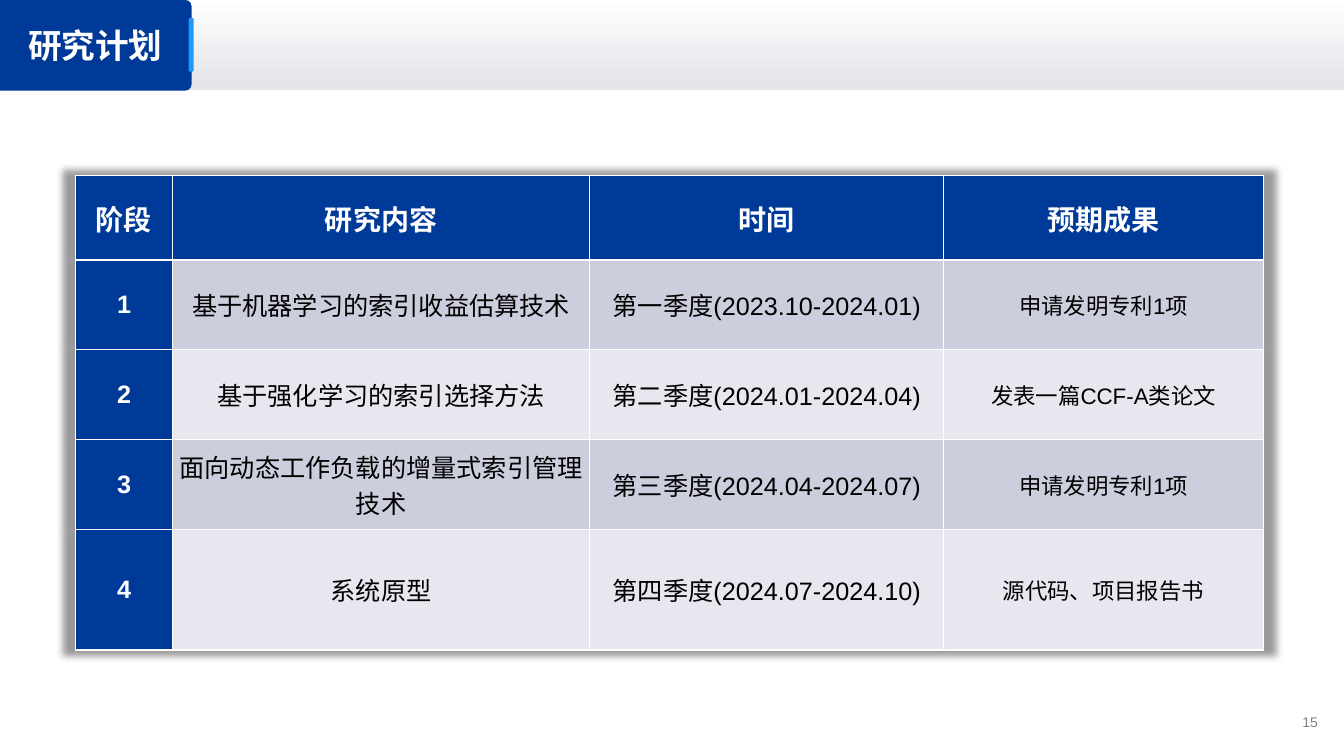
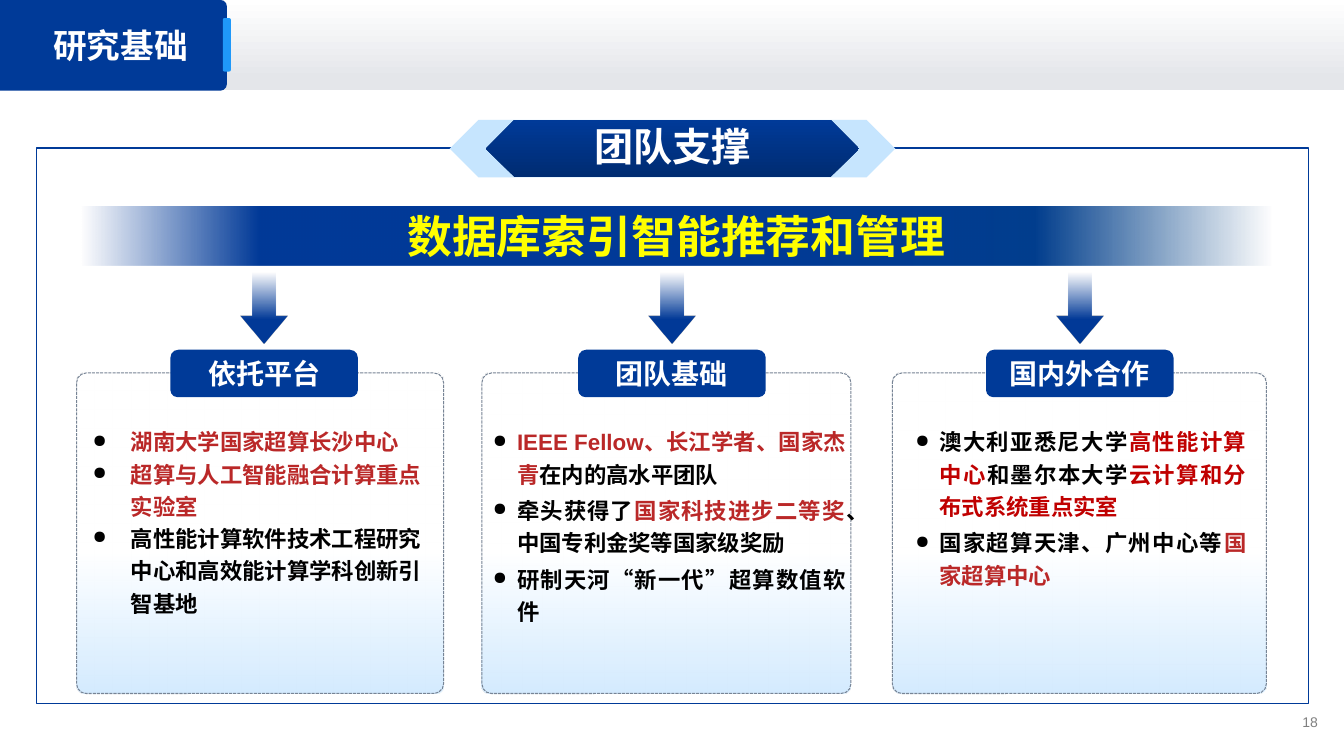
from lxml.etree import SubElement
from pptx import Presentation
from pptx.dml.color import RGBColor
from pptx.enum.dml import MSO_LINE
from pptx.enum.shapes import MSO_SHAPE as SHAPE
from pptx.enum.text import MSO_ANCHOR as ANCHOR, PP_ALIGN as ALIGN
from pptx.oxml.ns import qn
from pptx.util import Pt

PX = 9144
NAVY = RGBColor(0x00, 0x3A, 0x98)
DEEP_NAVY = RGBColor(0x00, 0x2C, 0x72)
MID_NAVY = RGBColor(0x00, 0x3E, 0x8E)
EDGE_NAVY = RGBColor(0x00, 0x43, 0x84)
SKY = RGBColor(0x1F, 0x98, 0xF9)
PALE_SKY = RGBColor(0xC6, 0xE5, 0xFE)
CARD_SKY = RGBColor(0xD2, 0xEA, 0xFE)
WHITE = RGBColor(0xFF, 0xFF, 0xFF)
BLACK = RGBColor(0x00, 0x00, 0x00)
YELLOW = RGBColor(0xFF, 0xFF, 0x00)
BRICK = RGBColor(0xBA, 0x28, 0x28)
RED = RGBColor(0xC0, 0x00, 0x00)
GRAY = RGBColor(0x80, 0x80, 0x80)
DASH_GRAY = RGBColor(0x77, 0x84, 0x95)
BAND_GRAY = RGBColor(0xE4, 0xE6, 0xEA)
ROW_DARK = RGBColor(0xCC, 0xCE, 0xDD)
ROW_LIGHT = RGBColor(0xE7, 0xE8, 0xEF)

PLAN_HEADS = ["阶段", "研究内容", "时间", "预期成果"]
PLAN_ROWS = [
    ["1", "基于机器学习的索引收益估算技术", "第一季度(2023.10-2024.01)", "申请发明专利1项"],
    ["2", "基于强化学习的索引选择方法", "第二季度(2024.01-2024.04)", "发表一篇CCF-A类论文"],
    ["3", "面向动态工作负载的增量式索引管理技术", "第三季度(2024.04-2024.07)", "申请发明专利1项"],
    ["4", "系统原型", "第四季度(2024.07-2024.10)", "源代码、项目报告书"],
]
PLATFORM = [
    [("湖南大学国家超算长沙中心", BRICK)],
    [("超算与人工智能融合计算重点实验室", BRICK)],
    [("高性能计算软件技术工程研究中心和高效能计算学科创新引智基地", BLACK)],
]
TEAM = [
    [("IEEE Fellow、长江学者、国家杰青", BRICK), ("在内的高水平团队", BLACK)],
    [("牵头获得了", BLACK), ("国家科技进步二等奖", BRICK),
     ("、中国专利金奖等国家级奖励", BLACK)],
    [("研制天河“新一代”超算数值软件", BLACK)],
]
PARTNERS = [
    [("澳大利亚悉尼大学", BLACK), ("高性能计算中心", RED),
     ("和墨尔本大学", BLACK), ("云计算和分布式系统重点实室", RED)],
    [("国家超算天津、广州中心等", BLACK), ("国家超算中心", BRICK)],
]


def px(*lengths):
    """Turn pixel lengths into EMU."""
    return [round(n * PX) for n in lengths]


def set_font(p, size, color=None, bold=False):
    """Set the deck's fonts on a paragraph."""
    font = p.font
    font.size, font.bold, font.name = Pt(size), bold, "Arial"
    if color is not None:
        font.color.rgb = color
    SubElement(font._element, qn("a:ea"), typeface="Noto Sans CJK SC")


def set_gradient(sp, stops, angle):
    """Fill a shape with (position, colour, opacity) stops at a clockwise angle."""
    sp.fill.gradient()
    grad = sp._element.spPr.find(qn("a:gradFill"))
    grad.find(qn("a:lin")).set("ang", str(angle * 60000))
    stop_list = grad.find(qn("a:gsLst"))
    for old in list(stop_list):
        stop_list.remove(old)
    for position, color, opacity in stops:
        gs = SubElement(stop_list, qn("a:gs"), pos=str(position * 1000))
        clr = SubElement(gs, qn("a:srgbClr"), val=str(color))
        if opacity < 100:
            SubElement(clr, qn("a:alpha"), val=str(opacity * 1000))


def add_box(slide, kind, box, fill=None, adjustments=()):
    """Add a preset shape without shadow or line."""
    sp = slide.shapes.add_shape(kind, *px(*box))
    sp.shadow.inherit = False
    sp.line.fill.background()
    if fill is None:
        sp.fill.background()
    else:
        sp.fill.solid()
        sp.fill.fore_color.rgb = fill
    for i, value in enumerate(adjustments):
        sp.adjustments[i] = value
    return sp


def label(sp, text, size, color):
    """Write one centred bold line in a shape."""
    tf = sp.text_frame
    tf.word_wrap = False
    tf.vertical_anchor = ANCHOR.MIDDLE
    p = tf.paragraphs[0]
    p.text, p.alignment = text, ALIGN.CENTER
    set_font(p, size, color, True)
    return p


def add_text(slide, box, text, size, color, bold=False, align=ALIGN.LEFT, anchor=ANCHOR.TOP):
    """Add a one-line text box."""
    tf = slide.shapes.add_textbox(*px(*box)).text_frame
    tf.word_wrap = True
    tf.vertical_anchor = anchor
    p = tf.paragraphs[0]
    p.text, p.alignment = text, align
    set_font(p, size, color, bold)


def add_base_slide(prs, title, number, tab_width, title_left, accent):
    """Add a blank slide with header band, title tab and page number."""
    slide = prs.slides.add_slide(prs.slide_layouts[6])
    band = add_box(slide, SHAPE.RECTANGLE, (0, -1, 1333, 90))
    set_gradient(band, [(0, WHITE, 100), (89, BAND_GRAY, 100)], 90)
    add_text(slide, (1026, 704, 291, 24), number, 10, GRAY,
             align=ALIGN.RIGHT, anchor=ANCHOR.MIDDLE)
    offset = (tab_width - 90) / 2
    tab = add_box(slide, SHAPE.ROUND_2_SAME_RECTANGLE,
                  (offset, -offset, 90, tab_width), NAVY, (0.07, 0))
    tab.rotation = 90
    left, width = accent
    add_box(slide, SHAPE.ROUNDED_RECTANGLE, (left, 18, width, 53), SKY, (0.21,))
    add_text(slide, (title_left, 20, 359, 50), title, 24, WHITE, True)
    return slide


def fill_cell(cell, text, size, color, bold, fill):
    """Write and colour one table cell."""
    cell.fill.solid()
    cell.fill.fore_color.rgb = fill
    cell.vertical_anchor = ANCHOR.MIDDLE
    cell.margin_left = cell.margin_right = 7 * PX
    cell.margin_top = cell.margin_bottom = 0
    p = cell.text_frame.paragraphs[0]
    p.text, p.alignment = text, ALIGN.CENTER
    set_font(p, size, color, bold)


def add_plan_table(slide, left, top):
    """Add the research plan table with a soft shadow."""
    widths, heights = px(96, 414, 351, 317), px(84, 89, 89, 89, 120)
    table = slide.shapes.add_table(len(heights), len(widths), *px(left, top),
                                   sum(widths), sum(heights)).table
    for column, width in zip(table.columns, widths):
        column.width = width
    for row, height in zip(table.rows, heights):
        row.height = height
    for c, head in enumerate(PLAN_HEADS):
        fill_cell(table.cell(0, c), head, 20, WHITE, True, NAVY)
    for r, texts in enumerate(PLAN_ROWS, 1):
        fill_cell(table.cell(r, 0), texts[0], 18, WHITE, True, NAVY)
        shade = ROW_DARK if r % 2 else ROW_LIGHT
        for c, size in enumerate((18, 18, 16), 1):
            fill_cell(table.cell(r, c), texts[c], size, BLACK, False, shade)
    props = table._tbl.tblPr
    effects = SubElement(props, qn("a:effectLst"))
    props.insert(0, effects)
    shadow = SubElement(effects, qn("a:outerShdw"), blurRad="63500", sx="102000",
                        sy="102000", algn="ctr", rotWithShape="0")
    color = SubElement(shadow, qn("a:srgbClr"), val=str(BLACK))
    SubElement(color, qn("a:alpha"), val="40000")


def add_bullets(slide, box, items, indent, gap, align):
    """Add a bulleted list of paragraphs made of coloured runs."""
    tf = slide.shapes.add_textbox(*px(*box)).text_frame
    tf.word_wrap = True
    for i, runs in enumerate(items):
        p = tf.add_paragraph() if i else tf.paragraphs[0]
        p.alignment, p.line_spacing = align, 1.2
        if i and gap:
            p.space_before = Pt(gap)
        props = p._p.get_or_add_pPr()
        props.set("marL", str(indent * PX))
        props.set("indent", str(-indent * PX))
        SubElement(SubElement(props, qn("a:buClr")), qn("a:srgbClr"), val=str(BLACK))
        SubElement(props, qn("a:buSzPct"), val="80000")
        SubElement(props, qn("a:buChar"), char="●")
        set_font(p, 16, bold=True)
        for text, color in runs:
            r = p.add_run()
            r.text = text
            r.font.color.rgb = color


def add_team_frame(slide, left, top, width, height):
    """Add the outlined frame with its hexagonal heading."""
    frame = add_box(slide, SHAPE.RECTANGLE, (left, top, width, height))
    frame.line.color.rgb = NAVY
    frame.line.width = Pt(1)
    center = left + width / 2
    add_box(slide, SHAPE.HEXAGON, (center - 221, top - 28, 442, 57), PALE_SKY, (0.5,))
    heading = add_box(slide, SHAPE.HEXAGON, (center - 185, top - 28, 370, 57),
                      NAVY, (0.5,))
    set_gradient(heading, [(0, DEEP_NAVY, 100), (100, NAVY, 100)], 270)
    label(heading, "团队支撑", 28, WHITE).line_spacing = 0.9


def add_topic_banner(slide, box):
    """Add the topic banner that fades out at both ends."""
    banner = add_box(slide, SHAPE.RECTANGLE, box)
    set_gradient(banner, [(0, EDGE_NAVY, 0), (20, MID_NAVY, 100), (47, NAVY, 100),
                          (85, NAVY, 100), (100, NAVY, 0)], 180)
    label(banner, "数据库索引智能推荐和管理", 32, YELLOW)


def add_pillar(slide, center, top, card, title):
    """Add an arrow, a dashed card and its title pill."""
    arrow = add_box(slide, SHAPE.DOWN_ARROW, (center - 23, top, 46, 70),
                    adjustments=(0.5, 0.6))
    set_gradient(arrow, [(0, NAVY, 0), (66, NAVY, 100)], 90)
    left, width = card
    panel = add_box(slide, SHAPE.ROUNDED_RECTANGLE, (left, top + 99, width, 318),
                    adjustments=(0.03,))
    set_gradient(panel, [(56, WHITE, 100), (100, CARD_SKY, 95)], 90)
    panel.line.color.rgb = DASH_GRAY
    panel.line.width = Pt(0.75)
    panel.line.dash_style = MSO_LINE.SQUARE_DOT
    pill = add_box(slide, SHAPE.ROUND_2_SAME_RECTANGLE,
                   (center - 93, top + 76, 186, 47), NAVY, (0.17, 0.15))
    label(pill, title, 20, WHITE)


def build_plan(prs):
    """Build the research plan slide."""
    slide = add_base_slide(prs, "研究计划", "15", 190, 18, (187, 5))
    add_plan_table(slide, 75, 174)


def build_foundation(prs):
    """Build the research foundation slide."""
    slide = add_base_slide(prs, "研究基础", "18", 225, 43, (221, 8))
    add_team_frame(slide, 36, 147, 1262, 551)
    add_topic_banner(slide, (81, 205, 1180, 58))
    pillars = [
        ("依托平台", (76, 364), (82, 353), PLATFORM, 38, 0, ALIGN.LEFT),
        ("团队基础", (478, 366), (479, 370), TEAM, 24, 3, ALIGN.JUSTIFY),
        ("国内外合作", (885, 371), (898, 348), PARTNERS, 24, 3, ALIGN.JUSTIFY),
    ]
    for i, (title, card, (left, width), items, *style) in enumerate(pillars):
        add_pillar(slide, 262 + 404.5 * i, 271, card, title)
        add_bullets(slide, (left, 415, width, 204), items, *style)


def main():
    """Build and save the deck."""
    prs = Presentation()
    prs.slide_width, prs.slide_height = px(1333, 750)
    build_plan(prs)
    build_foundation(prs)
    prs.save("out.pptx")


if __name__ == "__main__":
    main()
